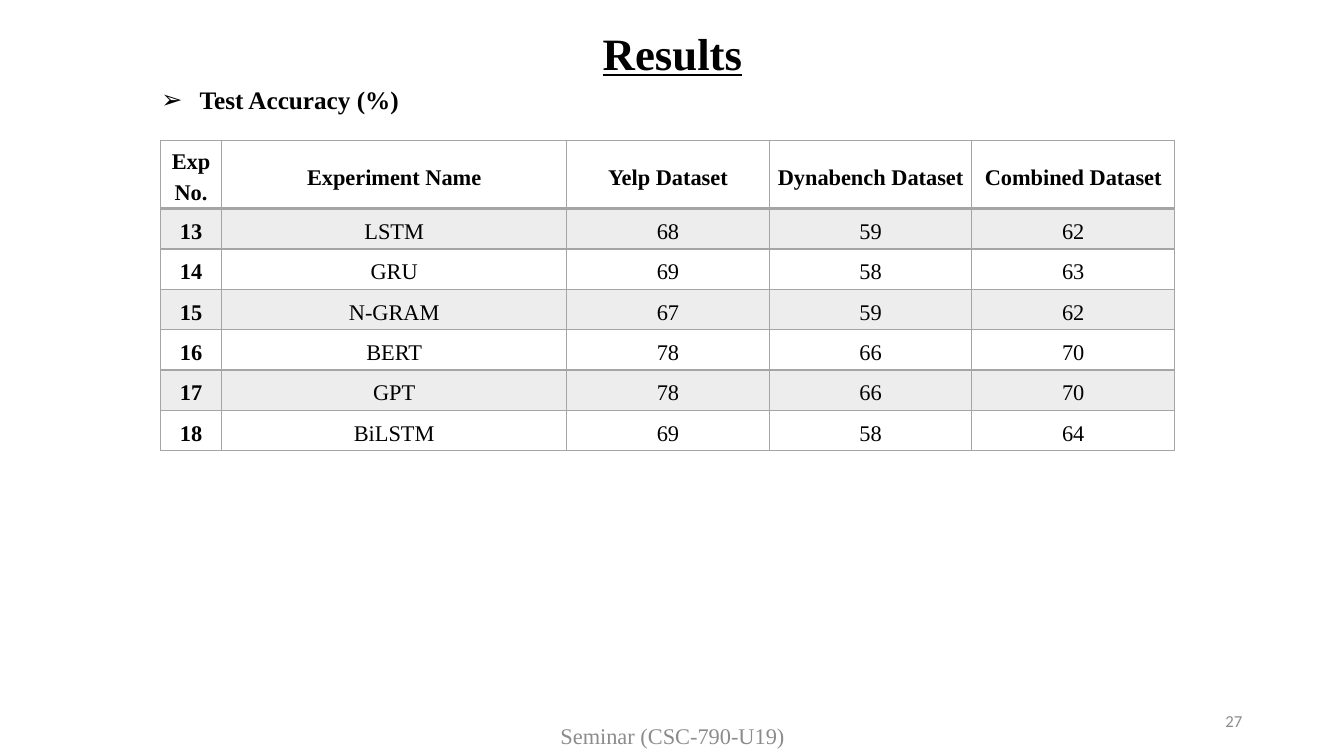
"""Build the test accuracy results slide."""
from lxml.etree import SubElement
from pptx import Presentation
from pptx.dml.color import RGBColor
from pptx.enum.text import MSO_ANCHOR as Anchor, MSO_AUTO_SIZE as AutoSize, PP_ALIGN as Align
from pptx.oxml.ns import qn
from pptx.util import Inches, Pt

COLORS = {"text": "000000", "muted": "8C8C8C", "grid": "A5A5A5"}
SERIF = "Times New Roman"


def format_text(paragraph, text, color, align, **font_values):
    paragraph.text = text
    paragraph.alignment = align
    for key, value in font_values.items():
        setattr(paragraph.font, key, value)
    paragraph.font.color.rgb = RGBColor.from_string(COLORS[color])


def place(box, left, top, width, height, anchor):
    box.left, box.top, box.width, box.height = map(Inches, (left, top, width, height))
    frame = box.text_frame
    frame.word_wrap = True
    frame.auto_size = AutoSize.NONE
    frame.vertical_anchor = anchor
    return frame.paragraphs[0]


deck = Presentation()
deck.slide_width, deck.slide_height = Inches(13.33), Inches(7.5)
slide = deck.slides.add_slide(deck.slide_layouts[1])

heading = place(slide.shapes.title, 0.04, 0.2, 13.26, 0.64, Anchor.TOP)
format_text(heading, "Results", "text", Align.CENTER,
            name=SERIF, size=Pt(32), bold=True, underline=True)

measure = place(slide.placeholders[1], 1.19, 0.79, 6.67, 0.4, Anchor.TOP)
measure_format = measure._p.get_or_add_pPr()
measure_format.set("marL", str(Inches(0.69)))
measure_format.set("indent", str(Inches(-0.38)))
SubElement(measure_format, qn("a:buChar"), char="➢")
measure.space_before, measure.space_after = Pt(0), Pt(1)
format_text(measure, "Test Accuracy (%)", "text", Align.JUSTIFY,
            name=SERIF, size=Pt(18), bold=True)

footers = [
    ("27", (9.42, 6.95, 3, 0.4), Align.RIGHT, "Calibri", 12),
    ("Seminar (CSC-790-U19)", (0.04, 7.1, 13.26, 0.4), Align.CENTER, SERIF, 16),
]
for text, bounds, align, font_name, size in footers:
    footer = place(slide.shapes.add_textbox(0, 0, 0, 0), *bounds, Anchor.MIDDLE)
    format_text(footer, text, "muted", align, name=font_name, size=Pt(size))

results = [
    ("Exp No.", "Experiment Name", "Yelp Dataset", "Dynabench Dataset", "Combined Dataset"),
    (13, "LSTM", 68, 59, 62),
    (14, "GRU", 69, 58, 63),
    (15, "N-GRAM", 67, 59, 62),
    (16, "BERT", 78, 66, 70),
    (17, "GPT", 78, 66, 70),
    (18, "BiLSTM", 69, 58, 64),
]
column_widths = [0.61, 3.42] + [2.01] * 3
row_heights = [0.68] + [0.4] * 6
accuracy = slide.shapes.add_table(
    len(results), len(column_widths), Inches(1.59), Inches(1.39),
    Inches(sum(column_widths)), Inches(sum(row_heights))).table
accuracy.first_row = accuracy.horz_banding = False
for column, width in zip(accuracy.columns, column_widths):
    column.width = Inches(width)
for row, height in zip(accuracy.rows, row_heights):
    row.height = Inches(height)

cell_format = {
    "vertical_anchor": Anchor.MIDDLE,
    "margin_left": Inches(0.07), "margin_right": Inches(0.07),
    "margin_top": 0, "margin_bottom": 0,
}
for row_index, record in enumerate(results):
    for column_index, value in enumerate(record):
        cell = accuracy.cell(row_index, column_index)
        for key, setting in cell_format.items():
            setattr(cell, key, setting)
        entry = cell.text_frame.paragraphs[0]
        entry.line_spacing, entry.space_after = 1.26, Pt(0.8)
        format_text(entry, str(value), "text", Align.CENTER, name=SERIF, size=Pt(16),
                    bold=row_index == 0 or column_index == 0)

        cell_properties = cell._tc.get_or_add_tcPr()
        for side in ("lnL", "lnR", "lnT", "lnB"):
            weight = Pt(2) if row_index == 0 and side == "lnB" else Pt(1)
            border = SubElement(cell_properties, qn(f"a:{side}"), w=str(weight))
            SubElement(SubElement(border, qn("a:solidFill")), qn("a:srgbClr"), val=COLORS["grid"])
        if row_index % 2:
            cell.fill.solid()
            cell.fill.fore_color.rgb = RGBColor.from_string(COLORS["grid"])
            band = cell_properties.find(qn("a:solidFill")).find(qn("a:srgbClr"))
            SubElement(band, qn("a:alpha"), val="20000")
        else:
            cell.fill.background()

deck.save("out.pptx")
